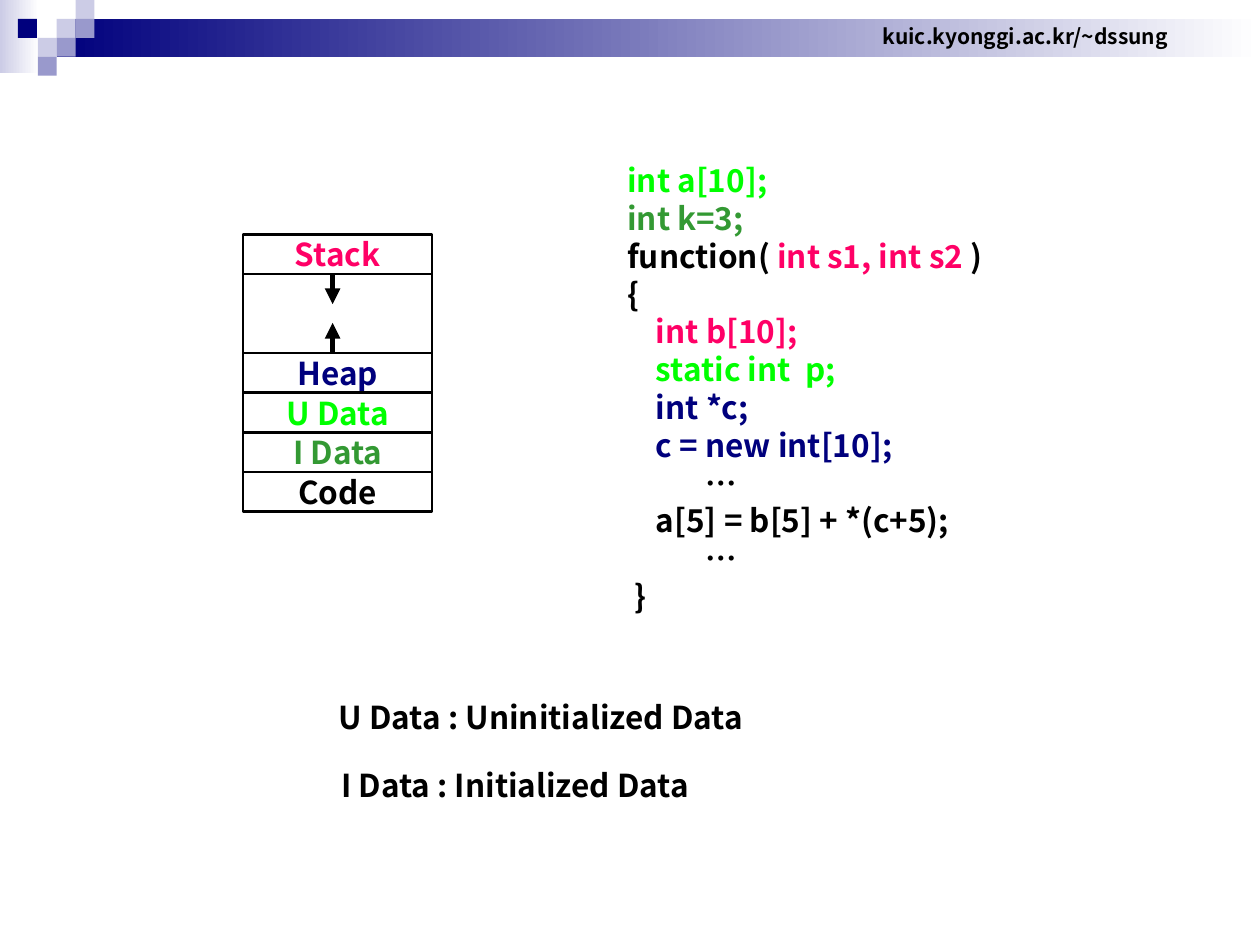
import pptx
import pptx.dml.color
import pptx.enum.shapes
import pptx.enum.text
import pptx.util
from lxml import etree
from pptx.oxml.ns import qn
from pptx.util import Inches

FONT = "Noto Sans CJK KR"
COLOURS = {
    "white": "FFFFFF", "black": "000000", "navy": "00007D", "lavender": "CCCCE6",
    "violet": "9999CC", "pink": "FF0066", "lime": "00FF00", "green": "339933",
}
CODE = [
    [("int a[10];", "lime")],
    [("int k=3;", "green")],
    [("function( ", "black"), ("int s1, int s2", "pink"), (" )", "black")],
    [("{", "black")],
    [("    int b[10];", "pink")],
    [("    static int  p;", "lime")],
    [("    int *c;", "navy")],
    [("    c = new int[10];", "navy")],
    [("           …", "black")],
    [("    a[5] = b[5] + *(c+5);", "black")],
    [("           …", "black")],
    [(" }", "black")],
]
MEMORY = [
    ("Stack", "pink", 1), ("", "black", 2), ("Heap", "navy", 1),
    ("U Data", "lime", 1), ("I Data", "green", 1), ("Code", "black", 1),
]


def colour(name):
    return pptx.dml.color.RGBColor.from_string(COLOURS[name])


def write(frame, lines, size=18, align="LEFT", anchor="TOP"):
    frame.word_wrap = False
    frame.vertical_anchor = getattr(pptx.enum.text.MSO_ANCHOR, anchor)
    for index, line in enumerate(lines):
        para = frame.add_paragraph() if index else frame.paragraphs[0]
        para.alignment = getattr(pptx.enum.text.PP_ALIGN, align)
        para.line_spacing = pptx.util.Pt(size * 1.2)
        for text, shade in line:
            span = para.add_run()
            span.text = text
            span.font.size = pptx.util.Pt(size)
            span.font.bold = True
            span.font.color.rgb = colour(shade)
            span.font.name = FONT
            etree.SubElement(span.font._element, qn("a:ea"), typeface=FONT)


def add_text(page, box, lines, **style):
    area = page.shapes.add_textbox(*map(Inches, box))
    write(area.text_frame, lines, **style)


def add_block(page, box, fill, border=None):
    block = page.shapes.add_shape(
        pptx.enum.shapes.MSO_SHAPE.RECTANGLE, *map(Inches, box))
    block.shadow.inherit = False
    if isinstance(fill, tuple):
        block.fill.gradient()
        block.fill.gradient_angle = 180
        for stop, shade in zip(block.fill.gradient_stops, fill):
            stop.color.rgb = colour(shade)
    else:
        block.fill.solid()
        block.fill.fore_color.rgb = colour(fill)
    if border:
        block.line.color.rgb = colour("black")
        block.line.width = pptx.util.Pt(border)
    else:
        block.line.fill.background()
    return block


def add_arrow(page, x, start, end):
    arrow = page.shapes.add_connector(
        pptx.enum.shapes.MSO_CONNECTOR.STRAIGHT,
        Inches(x), Inches(start), Inches(x), Inches(end))
    arrow.line.color.rgb = colour("black")
    arrow.line.width = pptx.util.Pt(3)
    etree.SubElement(arrow.line._get_or_add_ln(), qn("a:tailEnd"), type="triangle")
    etree.SubElement(arrow._element.spPr, qn("a:effectLst"))


def add_header(page, box):
    left, top, width, height = box
    unit = 0.15
    add_block(page, (left, top, 0.31, height), ("white", "lavender"))
    add_block(page, (left + 3 * unit, top + unit, width - 3 * unit, 2 * unit),
              ("white", "navy"))
    squares = [
        (3, 1, "lavender"), (4, 0, "lavender"), (4, 1, "violet"), (2, 2, "lavender"),
        (0.95, 1, "navy"), (3, 2, "violet"), (2, 3, "violet"),
    ]
    for column, row, shade in squares:
        add_block(page, (left + column * unit, top + row * unit, unit, unit), shade)
    add_text(page, (left + 6.91, top + 0.14, 2.47, 0.3),
             [[("kuic.kyonggi.ac.kr/~dssung", "black")]], size=12)


def add_memory_map(page, box):
    left, top, width, height = box
    unit = height / sum(rows for _, _, rows in MEMORY)
    y = top
    for label, shade, rows in MEMORY:
        block = add_block(page, (left, y, width, rows * unit), "white", border=1.5)
        if label:
            write(block.text_frame, [[(label, shade)]], align="CENTER", anchor="MIDDLE")
        y += rows * unit
    middle = left + 0.71
    add_arrow(page, middle, top + unit, top + unit + 0.24)
    add_arrow(page, middle, top + 3 * unit, top + 3 * unit - 0.24)


def add_legend(page, box):
    left, top, width, height = box
    add_text(page, (left, top, width, height),
             [[("U Data : Uninitialized Data", "black")]])
    add_text(page, (left + 0.02, top + 0.54, 3.07, height),
             [[("I Data : Initialized Data", "black")]])


def main():
    deck = pptx.Presentation()
    deck.slide_width, deck.slide_height = Inches(10), Inches(7.5)
    page = deck.slides.add_slide(deck.slide_layouts[6])
    add_header(page, (0, 0, 10, 0.58))
    add_memory_map(page, (1.93, 1.86, 1.5, 2.2))
    add_text(page, (4.88, 1.23, 3.09, 3.7), CODE)
    add_legend(page, (2.59, 5.49, 3.48, 0.4))
    deck.save("out.pptx")


if __name__ == "__main__":
    main()
